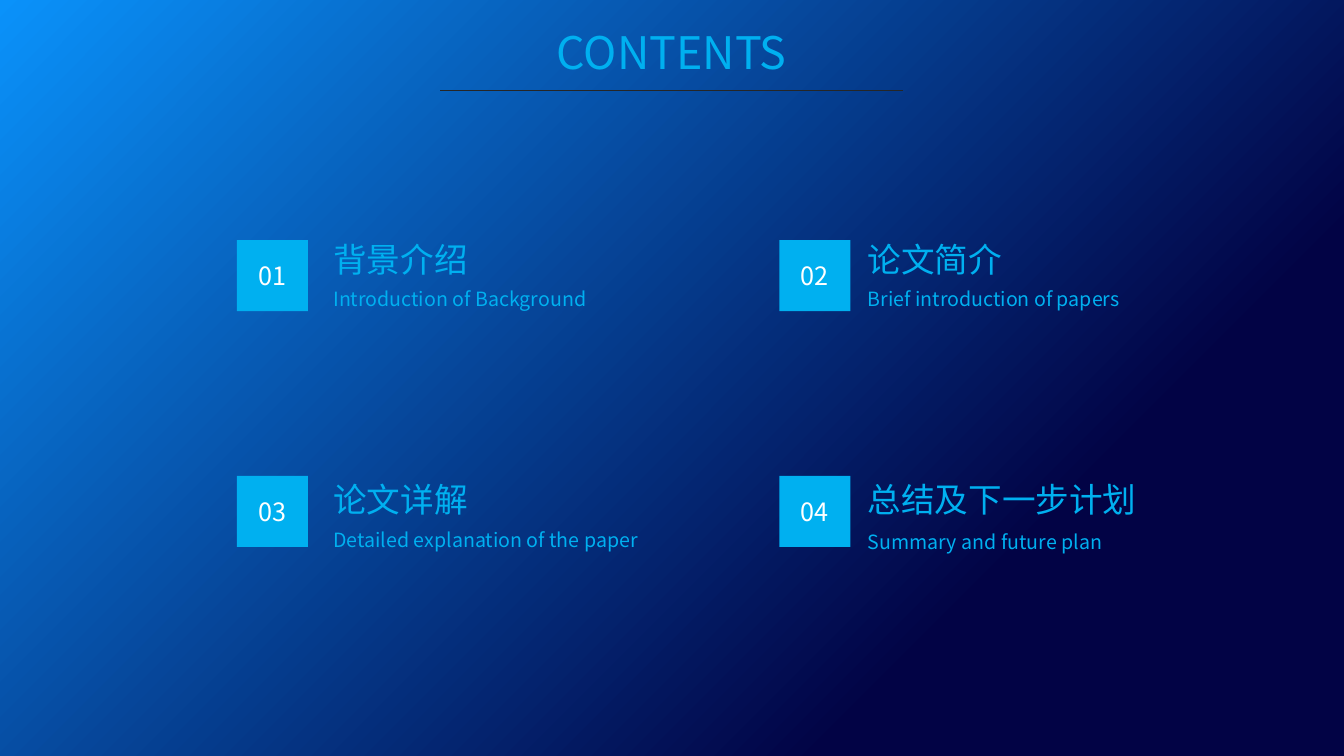
from pptx import Presentation
from pptx.dml.color import RGBColor as RGB
from pptx.enum.shapes import MSO_CONNECTOR as Link, MSO_SHAPE as Shape
from pptx.enum.text import MSO_ANCHOR as Anchor, MSO_AUTO_SIZE as Auto, PP_ALIGN as Align
from pptx.oxml.ns import qn
from pptx.util import Cm, Pt
from lxml.etree import SubElement

SKY = RGB(0x00, 0xB0, 0xF0)
WHITE = RGB(0xFF, 0xFF, 0xFF)
AZURE = RGB(0x0A, 0x92, 0xFA)
NAVY = RGB(0x02, 0x03, 0x45)
DARK = RGB(0x26, 0x26, 0x26)
FACE = "Noto Sans CJK SC"

LEFT, TOP = 5.97, 6.05
STEP_X, STEP_Y = 13.67, 5.94
SIDE = 1.79
ITEMS = [
    ("背景介绍", "Introduction of Background", 2.18, -0.16, 1.06),
    ("论文简介", "Brief introduction of papers", 1.98, -0.16, 1.06),
    ("论文详解", "Detailed explanation of the paper", 2.18, -0.05, 1.19),
    ("总结及下一步计划", "Summary and future plan", 1.98, -0.05, 1.24),
]


def write(frame, text, size, color=SKY, align=Align.LEFT, **form):
    for key, value in form.items():
        setattr(frame, key, value)
    para = frame.paragraphs[0]
    para.alignment = align
    run = para.add_run()
    run.text = text
    for key, value in {"name": FACE, "size": Pt(size)}.items():
        setattr(run.font, key, value)
    run.font.color.rgb = color
    SubElement(run.font._element, qn("a:ea"), typeface=FACE)


def paint(slide):
    fill = slide.background.fill
    fill.gradient()
    fill.gradient_angle = 315
    for stop, color, place in zip(fill.gradient_stops, (AZURE, NAVY), (0, 0.75)):
        stop.color.rgb = color
        stop.position = place


def header(slide, left, top, width):
    title = slide.shapes.title
    place = {"left": left + 2.54, "top": top, "width": width - 5.08, "height": 1.62}
    for key, value in place.items():
        setattr(title, key, Cm(value))
    write(title.text_frame, "CONTENTS", 32, align=Align.CENTER, word_wrap=False,
          auto_size=Auto.SHAPE_TO_FIT_TEXT, vertical_anchor=Anchor.TOP)
    level = Cm(top + 1.78)
    rule = slide.shapes.add_connector(
        Link.STRAIGHT, Cm(left), level, Cm(left + width), level)
    rule.line.color.rgb = DARK
    rule.line.width = Pt(0.5)
    SubElement(rule._element.spPr, qn("a:effectLst"))


def label(slide, left, top, width, height, text, size):
    box = slide.shapes.add_textbox(Cm(left), Cm(top), Cm(width), Cm(height))
    write(box.text_frame, text, size, word_wrap=True,
          auto_size=Auto.SHAPE_TO_FIT_TEXT)


def entry(slide, left, top, number, item):
    head, note, indent, rise, drop = item
    tile = slide.shapes.add_shape(
        Shape.RECTANGLE, Cm(left), Cm(top), Cm(SIDE), Cm(SIDE))
    tile.shadow.inherit = False
    tile.fill.solid()
    tile.fill.fore_color.rgb = SKY
    tile.line.fill.background()
    write(tile.text_frame, f"{number:02}", 18, WHITE, Align.CENTER,
          vertical_anchor=Anchor.MIDDLE)
    label(slide, left + indent, top + rise, 9.6, 1.28, head, 24)
    label(slide, left + indent, top + drop, 8.97, 0.86, note, 14)


def main():
    deck = Presentation()
    deck.slide_width, deck.slide_height = Cm(33.87), Cm(19.05)
    slide = deck.slides.add_slide(deck.slide_layouts[5])
    paint(slide)
    header(slide, 11.1, 0.5, 11.66)
    for index, item in enumerate(ITEMS):
        row, col = divmod(index, 2)
        entry(slide, LEFT + col * STEP_X, TOP + row * STEP_Y, index + 1, item)
    deck.save("out.pptx")


if __name__ == "__main__":
    main()
